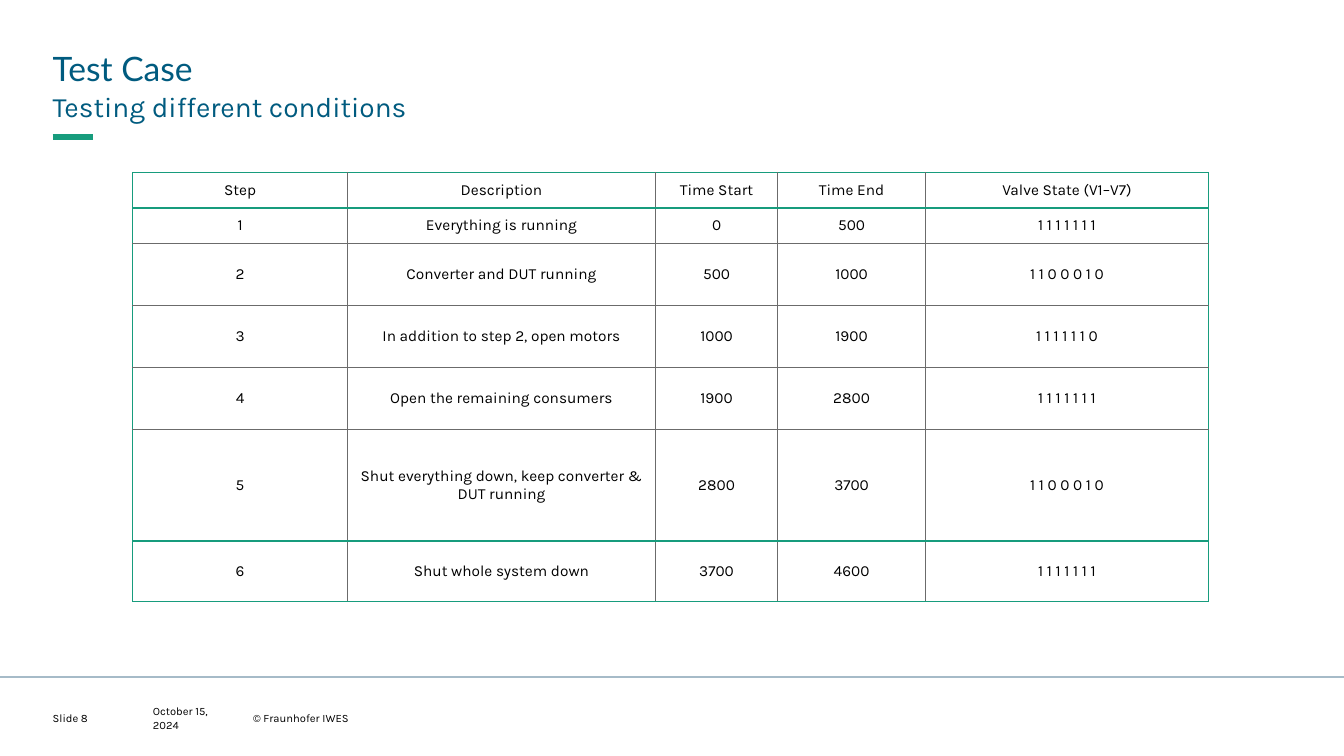
"""Build the test case slide with its table of steps and valve states."""
from lxml.etree import SubElement
from pptx import Presentation
from pptx.dml.color import RGBColor
from pptx.enum.shapes import MSO_CONNECTOR
from pptx.enum.text import MSO_ANCHOR, PP_ALIGN
from pptx.oxml.ns import qn
from pptx.util import Pt

THEME = {
    "title_font": "Lato", "body_font": "Karla",
    "blue": "005B7F", "green": "179C7D", "rule": "A6BBC8", "grid": "6B6B6B", "ink": "000000",
    "title_size": 24, "subtitle_size": 20, "table_size": 11, "footer_size": 8,
    "thin": 0.5, "strong": 1.25,
}
SLIDE_SIZE = (960, 540)
MARGIN = 37.6
TITLE = "Test Case"
SUBTITLE = "Testing different conditions"
FOOTERS = [("Slide 8", 57), ("October 15, 2024", 57), ("© Fraunhofer IWES", 232.5)]
FOOTER_TOP, FOOTER_STEP = 508.3, 71.6
RULES = [(MARGIN, 97.9, 66.4, "green", 4), (0, 483.6, SLIDE_SIZE[0], "rule", 1.5)]
STEPS = [
    ("Step", "Description", "Time Start", "Time End", "Valve State (V1–V7)"),
    ("1", "Everything is running", "0", "500", "1 1 1 1 1 1 1"),
    ("2", "Converter and DUT running", "500", "1000", "1 1 0 0 0 1 0"),
    ("3", "In addition to step 2, open motors", "1000", "1900", "1 1 1 1 1 1 0"),
    ("4", "Open the remaining consumers", "1900", "2800", "1 1 1 1 1 1 1"),
    ("5", "Shut everything down, keep converter & DUT running", "2800", "3700", "1 1 0 0 0 1 0"),
    ("6", "Shut whole system down", "3700", "4600", "1 1 1 1 1 1 1"),
]
TABLE_LEFT, TABLE_TOP = 94.6, 123.2
COLUMN_WIDTHS = [153.8, 219.8, 87.4, 105.5, 202.3]
ROW_HEIGHTS = [25.2, 25.2, 44.4, 44.4, 44.4, 79.8, 43]
STRONG_EDGES = {1, len(STEPS) - 1, len(STEPS)}


def style(paragraph, size, colour="ink", font="body_font"):
    paragraph.font.name = THEME[font]
    paragraph.font.size = Pt(THEME[size])
    paragraph.font.color.rgb = RGBColor.from_string(THEME[colour])


def add_text(slide, words, left, top, width, height, size, colour="ink",
             font="body_font", anchor=MSO_ANCHOR.TOP, line_spacing=None):
    frame = slide.shapes.add_textbox(Pt(left), Pt(top), Pt(width), Pt(height)).text_frame
    frame.margin_left = frame.margin_top = frame.margin_right = frame.margin_bottom = 0
    frame.word_wrap = True
    frame.vertical_anchor = anchor
    paragraph = frame.paragraphs[0]
    paragraph.text = words
    paragraph.line_spacing = line_spacing
    style(paragraph, size, colour, font)


def add_rule(slide, left, top, right, colour, weight):
    rule = slide.shapes.add_connector(MSO_CONNECTOR.STRAIGHT, Pt(left), Pt(top), Pt(right), Pt(top))
    rule.line.color.rgb = RGBColor.from_string(THEME[colour])
    rule.line.width = Pt(weight)
    SubElement(rule._element.spPr, qn("a:effectLst"))


def add_border(cell, side, colour, weight):
    border = SubElement(cell._tc.get_or_add_tcPr(), qn(f"a:ln{side}"), w=str(Pt(THEME[weight])))
    fill = SubElement(border, qn("a:solidFill"))
    SubElement(fill, qn("a:srgbClr"), val=THEME[colour])


def horizontal_edge(edge):
    if edge in STRONG_EDGES:
        return "green", "strong"
    return ("grid" if edge else "green"), "thin"


def vertical_edge(edge):
    return ("green" if edge in (0, len(COLUMN_WIDTHS)) else "grid"), "thin"


def add_steps(slide):
    table = slide.shapes.add_table(
        len(STEPS), len(COLUMN_WIDTHS), Pt(TABLE_LEFT), Pt(TABLE_TOP),
        Pt(sum(COLUMN_WIDTHS)), Pt(sum(ROW_HEIGHTS))).table
    table.horz_banding = False
    table.first_row = False
    for column, width in zip(table.columns, COLUMN_WIDTHS):
        column.width = Pt(width)
    for row, height in zip(table.rows, ROW_HEIGHTS):
        row.height = Pt(height)
    for r, step in enumerate(STEPS):
        for c, words in enumerate(step):
            cell = table.cell(r, c)
            cell.margin_left = cell.margin_right = Pt(4.3)
            cell.margin_top = cell.margin_bottom = Pt(2.2)
            cell.vertical_anchor = MSO_ANCHOR.MIDDLE
            add_border(cell, "L", *vertical_edge(c))
            add_border(cell, "R", *vertical_edge(c + 1))
            add_border(cell, "T", *horizontal_edge(r))
            add_border(cell, "B", *horizontal_edge(r + 1))
            cell.fill.background()
            paragraph = cell.text_frame.paragraphs[0]
            paragraph.text = words
            paragraph.alignment = PP_ALIGN.CENTER
            style(paragraph, "table_size")


def main():
    deck = Presentation()
    deck.slide_width, deck.slide_height = map(Pt, SLIDE_SIZE)
    slide = deck.slides.add_slide(deck.slide_layouts[6])
    for rule in RULES:
        add_rule(slide, *rule)
    add_text(slide, TITLE, MARGIN, 31, 884, 30.2, "title_size", "blue", "title_font",
             line_spacing=1.1)
    add_text(slide, SUBTITLE, MARGIN, 61.2, 884, 25.2, "subtitle_size", "blue", line_spacing=1.1)
    for i, (words, width) in enumerate(FOOTERS):
        add_text(slide, words, MARGIN + i * FOOTER_STEP, FOOTER_TOP, width, 9.4, "footer_size",
                 anchor=MSO_ANCHOR.MIDDLE)
    add_steps(slide)
    deck.save("out.pptx")


if __name__ == "__main__":
    main()
